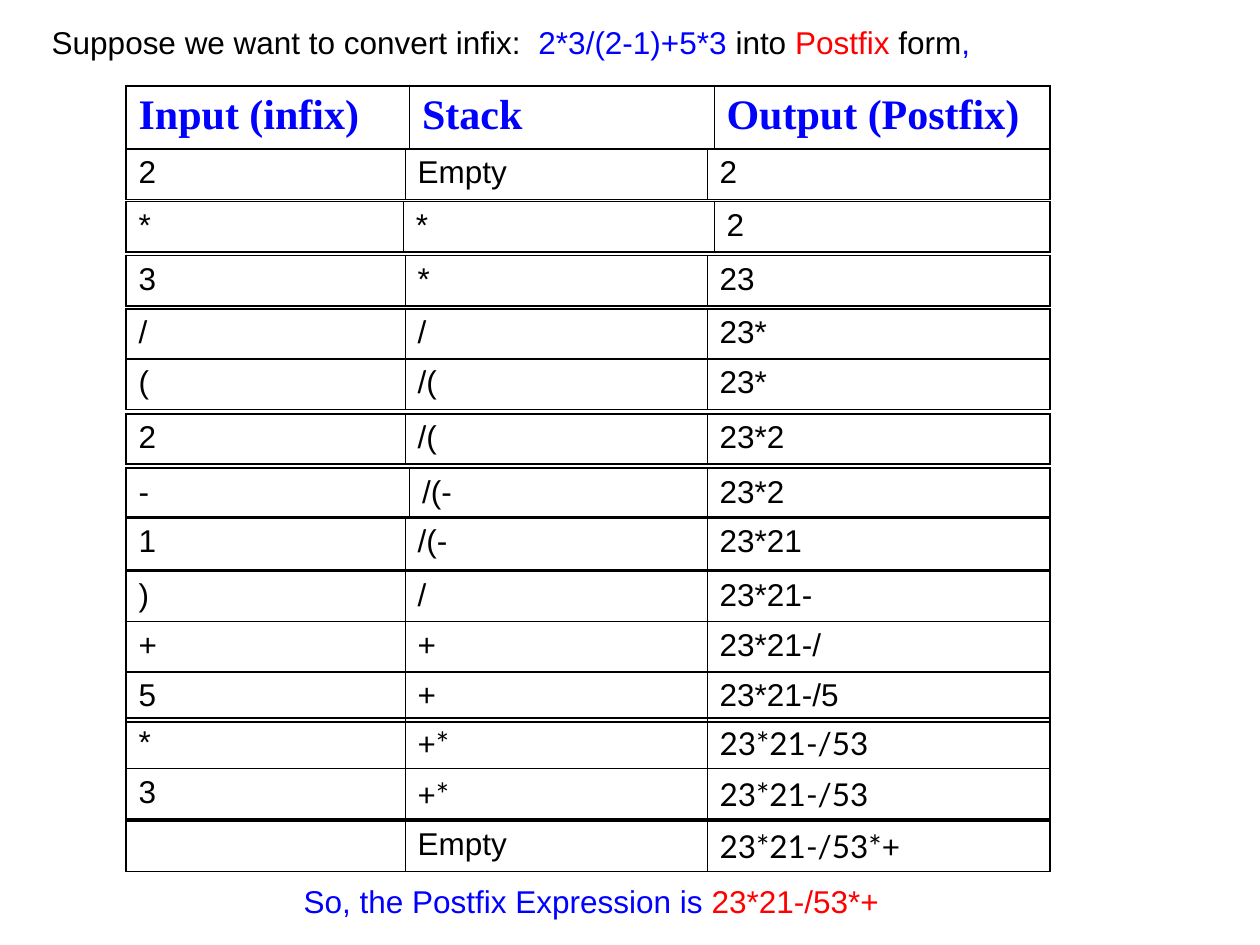
"""Build a slide that traces an infix to postfix conversion."""
from lxml.etree import SubElement
from pptx import Presentation
from pptx.dml.color import RGBColor
from pptx.enum.text import MSO_ANCHOR as Anchor
from pptx.oxml.ns import qn
from pptx.util import Pt

BLACK = RGBColor(0x00, 0x00, 0x00)
BLUE = RGBColor(0x00, 0x00, 0xFF)
RED = RGBColor(0xFF, 0x00, 0x00)

BODY = {"name": "Arial", "size": Pt(18)}
LATO = {"name": "Lato", "size": Pt(18)}
HEADING = {"name": "Times New Roman", "size": Pt(24), "bold": True}

INTRO = [
    ("Suppose we want to convert infix: ", BLACK),
    (" 2*3/(2-1)+5*3 ", BLUE),
    ("into ", BLACK),
    ("Postfix ", RED),
    ("form", BLACK),
    (",", BLUE),
]
RESULT = [("So, the Postfix Expression is ", BLUE), ("23*21-/53*+", RED)]

HEADER = ("Input (infix)", "Stack", "Output (Postfix)")
STEPS = [
    (85.2, "2", "Empty", "2"),
    (115.2, "*", "*", "2"),
    (146, "3", "*", "23"),
    (176.4, "/", "/", "23*"),
    (205.2, "(", "/(", "23*"),
    (236.4, "2", "/(", "23*2"),
    (267.5, "-", "/(-", "23*2"),
    (295.5, "1", "/(-", "23*21"),
    (326.4, ")", "/", "23*21-"),
    (355.2, "+", "+", "23*21-/"),
    (383.8, "5", "+", "23*21-/5"),
    (410.4, "*", "+*", "23*21-/53"),
    (439.2, "3", "+*", "23*21-/53"),
    (469.2, "", "Empty", "23*21-/53*+"),
]
LATO_TEXTS = {"+*", "23*21-/53", "23*21-/53*+"}
COLUMNS = (159.5, 172.5, 196)
SPECIAL_COLUMNS = {1: (158.5, 177.5, 192), 6: (162, 170, 196)}
HEADER_COLUMNS = (162, 174, 192)
STEP_HEIGHTS = {7: 30}
LEFT, HEADER_TOP, HEADER_HEIGHT, STEP_HEIGHT = 72, 49, 36, 28.8
OUTER, INNER = Pt(1.08), Pt(0.45)


def add_span(para, text, color, style):
    span = para.add_run()
    span.text = text
    for key, value in style.items():
        setattr(span.font, key, value)
    span.font.color.rgb = color


def add_line_of_text(page, bounds, spans, anchor):
    frame = page.shapes.add_textbox(*map(Pt, bounds)).text_frame
    frame.word_wrap = True
    frame.vertical_anchor = anchor
    for text, color in spans:
        add_span(frame.paragraphs[0], text, color, BODY)


def set_borders(cell, widths):
    properties = cell._tc.get_or_add_tcPr()
    for position, (side, width) in enumerate(widths.items()):
        line = SubElement(properties, qn(f"a:ln{side}"), w=str(width))
        fill = SubElement(line, qn("a:solidFill"))
        SubElement(fill, qn("a:srgbClr"), val=str(BLACK))
        properties.insert(position, line)


def add_row_table(page, top, height, columns, texts, color, style=None, space=0):
    bounds = map(Pt, (LEFT, top, sum(columns), height))
    table = page.shapes.add_table(1, len(columns), *bounds).table
    table.first_row = table.horz_banding = False
    last = len(columns) - 1
    for index, (width, text) in enumerate(zip(columns, texts)):
        table.columns[index].width = Pt(width)
        cell = table.cell(0, index)
        cell.fill.background()
        set_borders(cell, {
            "L": INNER if index else OUTER,
            "R": INNER if index < last else OUTER,
            "T": OUTER,
            "B": OUTER,
        })
        para = cell.text_frame.paragraphs[0]
        para.space_before = Pt(space)
        if text:
            add_span(para, text, color, style or (LATO if text in LATO_TEXTS else BODY))


def main():
    deck = Presentation()
    deck.slide_width, deck.slide_height = Pt(720), Pt(540)
    page = deck.slides.add_slide(deck.slide_layouts[6])
    add_line_of_text(page, (22.5, 9.6, 560, 29), INTRO, Anchor.MIDDLE)
    add_line_of_text(page, (166.5, 486, 360, 43), RESULT, Anchor.BOTTOM)
    add_row_table(page, HEADER_TOP, HEADER_HEIGHT, HEADER_COLUMNS, HEADER, BLUE, HEADING, 6)
    for index, (top, *texts) in enumerate(STEPS):
        height = STEP_HEIGHTS.get(index, STEP_HEIGHT)
        columns = SPECIAL_COLUMNS.get(index, COLUMNS)
        add_row_table(page, top, height, columns, texts, BLACK)
    deck.save("out.pptx")


if __name__ == "__main__":
    main()
